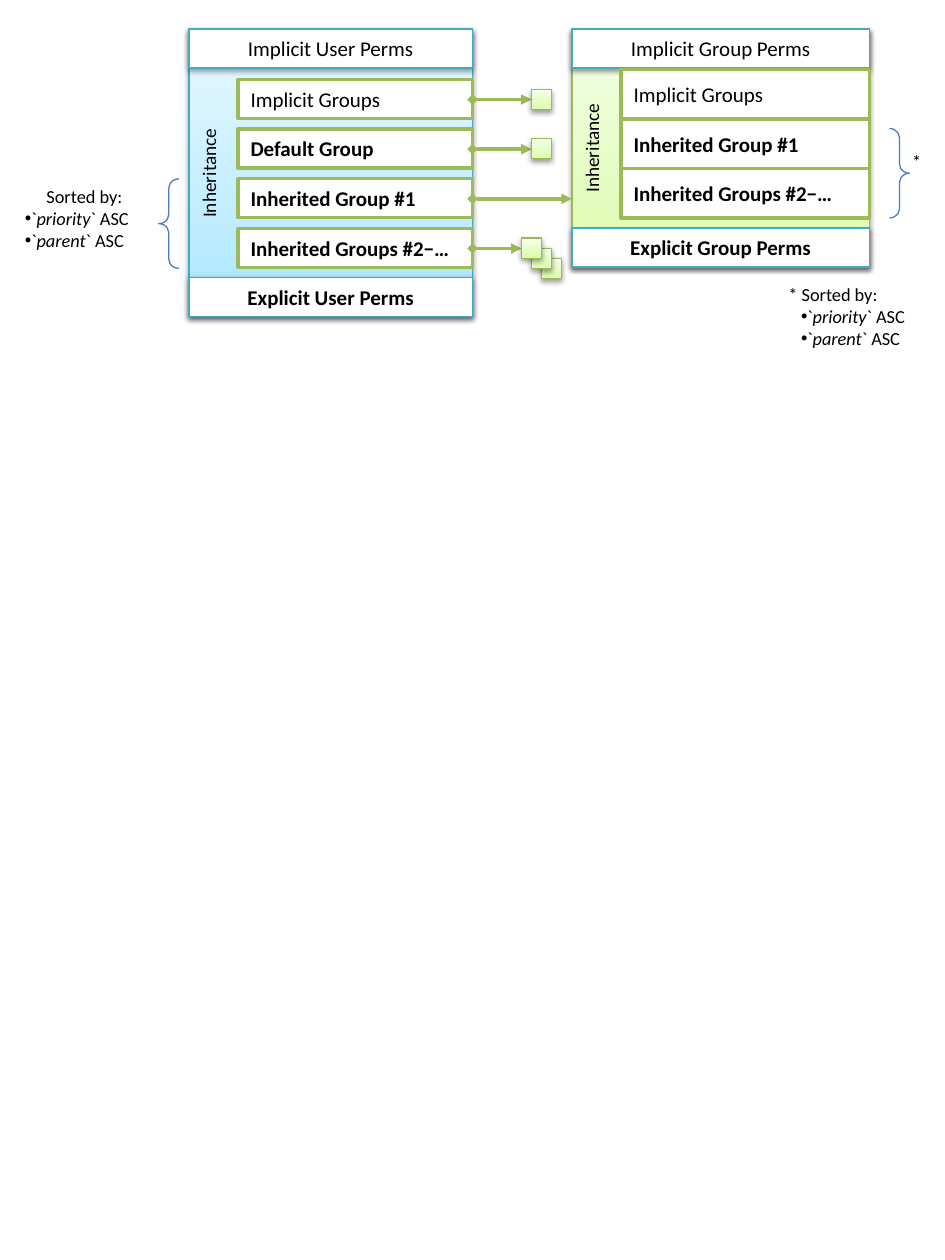
"""Draw the user and group permission inheritance diagram."""
from pptx import Presentation
from pptx.dml.color import RGBColor
from pptx.enum.shapes import MSO_CONNECTOR, MSO_SHAPE as SHAPE
from pptx.enum.text import MSO_ANCHOR as ANCHOR, MSO_AUTO_SIZE as AUTO, PP_ALIGN as ALIGN
from pptx.oxml import parse_xml
from pptx.oxml.ns import nsdecls, qn
from pptx.util import Inches, Pt


def draw(kind, left, top, width, height, line, fill=None, shadow=False):
    """Add a preset shape; a tuple as fill makes a gradient from the bottom up."""
    shape = page.shapes.add_shape(kind, Inches(left), Inches(top), Inches(width), Inches(height))
    shape.shadow.inherit = False
    color, weight = line
    shape.line.color.rgb = RGBColor.from_string(color)
    shape.line.width = Pt(weight)
    if isinstance(fill, tuple):
        stops = "".join(f'<a:gs pos="{place}"><a:srgbClr val="{tone}"/></a:gs>'
                        for place, tone in zip((0, 35000, 100000), fill))
        gradient = parse_xml(f'<a:gradFill {nsdecls("a")} rotWithShape="1"><a:gsLst>{stops}</a:gsLst>'
                             '<a:lin ang="16200000" scaled="0"/></a:gradFill>')
        shape._element.spPr.find(qn("a:prstGeom")).addnext(gradient)
    elif fill:
        shape.fill.solid()
        shape.fill.fore_color.rgb = RGBColor.from_string(fill)
    else:
        shape.fill.background()
    if shadow:
        shape._element.spPr.find(qn("a:effectLst")).append(parse_xml(
            f'<a:outerShdw {nsdecls("a")} blurRad="{Pt(3.1)}" dist="{Pt(1.6)}" dir="5400000" '
            'rotWithShape="0"><a:srgbClr val="000000"><a:alpha val="38000"/></a:srgbClr></a:outerShdw>'))
    return shape


def write(box, *lines, size=12, bold=False, align=ALIGN.LEFT, anchor=ANCHOR.MIDDLE):
    """Fill a box with lines; a tuple is a bulleted line with an italic middle part."""
    frame = box.text_frame
    frame.word_wrap = True
    frame.vertical_anchor = anchor
    for index, line in enumerate(lines):
        para = frame.add_paragraph() if index else frame.paragraphs[0]
        bulleted = isinstance(line, tuple)
        para.alignment = ALIGN.LEFT if bulleted else align
        if bulleted:
            props = para._p.get_or_add_pPr()
            props.set("marL", "0")
            props.set("indent", str(Inches(0.1)))
            props.append(parse_xml(f'<a:buFont {nsdecls("a")} typeface="Arial"/>'))
            props.append(parse_xml(f'<a:buChar {nsdecls("a")} char="•"/>'))
        for order, part in enumerate(line if bulleted else (line,)):
            span = para.add_run()
            span.text = part
            span.font.name = "Calibri"
            span.font.size = Pt(size)
            span.font.bold = bold
            span.font.italic = order == 1
            span.font.color.rgb = RGBColor.from_string("000000")


deck = Presentation()
deck.slide_width, deck.slide_height = Inches(7.5), Inches(10)
page = deck.slides.add_slide(deck.slide_layouts[6])

WHITE = "FFFFFF"
BLUES = ("A7E6FF", "C1EDFF", "E7F8FF")
GREENS = ("DAFDA7", "E4FCC2", "F5FFE7")
BLUE_LINE, GREEN_LINE = ("46AAC5", 0.75), ("98B955", 0.75)
ROW_LINE, BRACE_LINE = ("9BBB59", 2), ("4B7EBC", 0.75)
TOP, BAR, STEP, SQUARE = 0.23, 0.31, 0.394, 0.16
INHERITED = ("Inherited Group #1", "Inherited Groups #2−…")
USER_ROWS = ("Implicit Groups", "Default Group", *INHERITED)
GROUP_ROWS = ("Implicit Groups", *INHERITED)

panels = (
    ("User", 1.5, 2.25, 2.28, BLUES, BLUE_LINE, USER_ROWS, 0.63, BAR, 1.65, 1.375),
    ("Group", 4.54, 2.36, 1.89, GREENS, GREEN_LINE, GROUP_ROWS, 0.55, STEP, 1.26, 1.175),
)
for name, left, width, height, fill, line, rows, first, tall, span_width, middle in panels:
    draw(SHAPE.RECTANGLE, left, TOP, width, height, line, fill, shadow=True)
    for prefix, top in (("Implicit", TOP), ("Explicit", TOP + height - BAR)):
        bar = draw(SHAPE.RECTANGLE, left, top, width, BAR, BLUE_LINE, WHITE, shadow=True)
        write(bar, f"{prefix} {name} Perms", bold=prefix == "Explicit", align=ALIGN.CENTER)
    side = page.shapes.add_textbox(Inches(left + 0.155 - span_width / 2), Inches(middle - BAR / 2),
                                   Inches(span_width), Inches(BAR))
    side.rotation = 270
    write(side, "Inheritance", size=11, align=ALIGN.CENTER)
    for index, label in enumerate(rows):
        row = draw(SHAPE.RECTANGLE, left + 0.39, first + index * STEP, width - 0.39, tall, ROW_LINE, WHITE)
        write(row, label, bold=index > 0)

for index, end in enumerate((4.22, 4.22, 4.54, 4.14)):
    middle = Inches(0.79 + index * STEP)
    arrow = page.shapes.add_connector(MSO_CONNECTOR.STRAIGHT, Inches(3.75), middle, Inches(end), middle)
    arrow.line.color.rgb = RGBColor.from_string(ROW_LINE[0])
    arrow.line.width = Pt(ROW_LINE[1])
    for tag, tip in (("headEnd", "diamond"), ("tailEnd", "triangle")):
        arrow.line._get_or_add_ln().append(parse_xml(f'<a:{tag} {nsdecls("a")} type="{tip}"/>'))
    arrow._element.spPr.append(parse_xml(f'<a:effectLst {nsdecls("a")}/>'))

for left, top in ((4.22, 0.71), (4.22, 1.1), (4.3, 2.05), (4.22, 1.97), (4.14, 1.89)):
    draw(SHAPE.RECTANGLE, left, top, SQUARE, SQUARE, GREEN_LINE, GREENS, shadow=True)

for left, top, flipped in ((1.26, 1.42, False), (7.06, 1.02, True)):
    brace = draw(SHAPE.LEFT_BRACE, left, top, 0.16, 0.71, BRACE_LINE)
    brace.adjustments[0] = 0.457
    if flipped:
        brace._element.spPr.find(qn("a:xfrm")).set("flipH", "1")

sort_keys = (("`", "priority", "` ASC"), ("`", "parent", "` ASC"))
notes = (
    (0, 1.42, 1.34, 0.63, ("Sorted by:", *sort_keys), ALIGN.CENTER),
    (7.14, 1.14, 0.36, 0.28, ("* ",), ALIGN.LEFT),
    (6.16, 2.2, 1.34, 0.63, ("* Sorted by:", *sort_keys), ALIGN.LEFT),
)
for left, top, width, height, lines, align in notes:
    note = page.shapes.add_textbox(Inches(left), Inches(top), Inches(width), Inches(height))
    write(note, *lines, size=10.5, align=align, anchor=ANCHOR.TOP)
    note.text_frame.auto_size = AUTO.SHAPE_TO_FIT_TEXT

deck.save("out.pptx")
